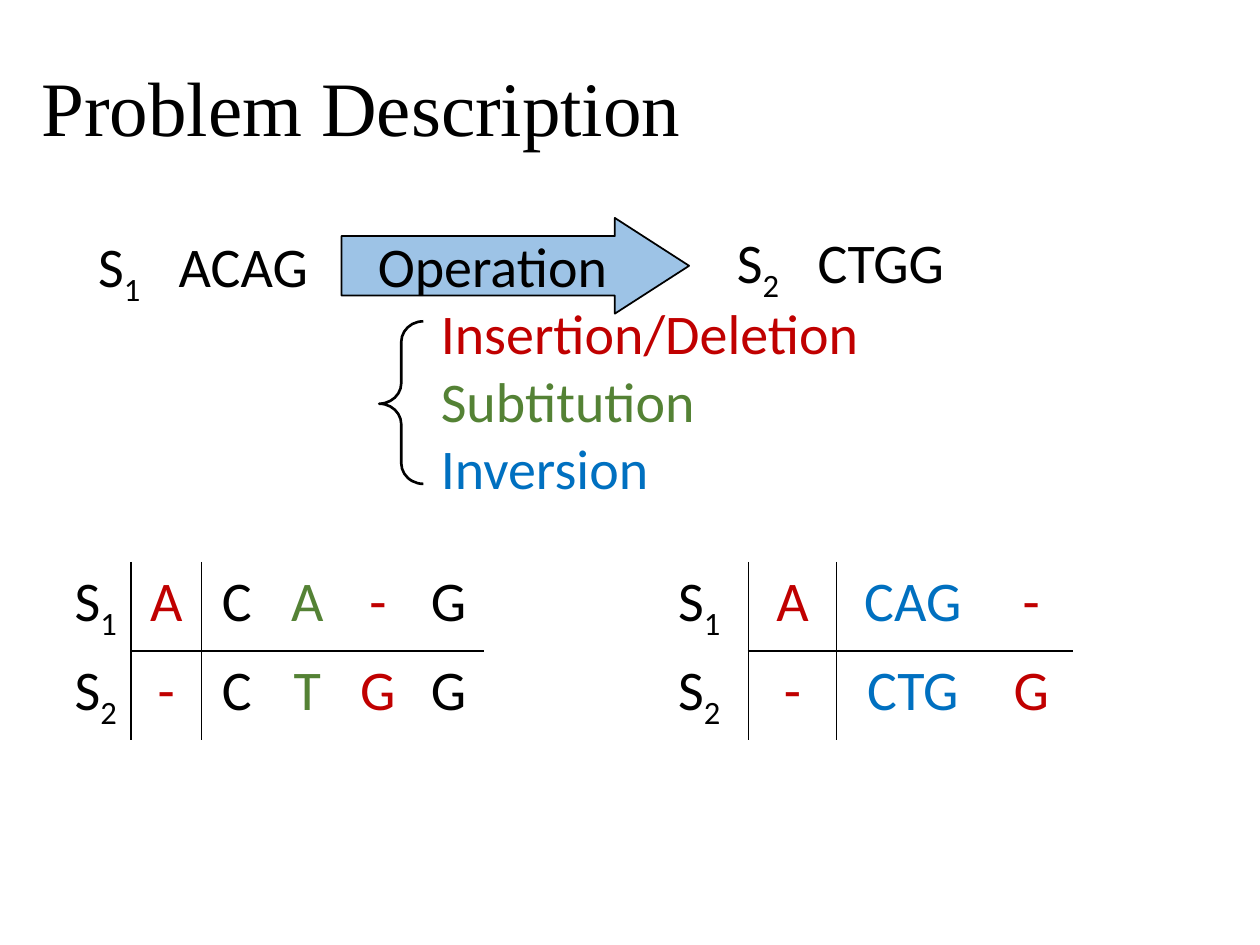
"""Build a slide describing sequence operations and two alignments."""
from dataclasses import dataclass

import lxml.etree
import pptx
import pptx.dml.color
import pptx.enum.shapes
import pptx.enum.text
import pptx.oxml.ns
import pptx.util

Inches = pptx.util.Inches
Pt = pptx.util.Pt
RGBColor = pptx.dml.color.RGBColor
Shape = pptx.enum.shapes.MSO_SHAPE
Align = pptx.enum.text.PP_ALIGN
Anchor = pptx.enum.text.MSO_ANCHOR
qn = pptx.oxml.ns.qn

BLACK = RGBColor(0x00, 0x00, 0x00)
RED = RGBColor(0xC0, 0x00, 0x00)
GREEN = RGBColor(0x54, 0x82, 0x35)
BLUE = RGBColor(0x00, 0x70, 0xC0)
SKY = RGBColor(0x9D, 0xC3, 0xE6)

BODY = {"name": "Calibri", "size": Pt(32)}
HEADING = {"name": "Times New Roman", "size": Pt(44)}
PLAIN_TABLE = "{2D5ABB26-0587-4C30-8999-92F81FD0307C}"
ROW_HEIGHT = 0.64


@dataclass(frozen=True)
class Span:
    text: str
    color: RGBColor = BLACK
    subscript: bool = False


@dataclass(frozen=True)
class Line:
    spans: list[Span]
    indent: float = 0
    tab: float = 0


@dataclass(frozen=True)
class TextBox:
    place: tuple[float, float, float, float]
    lines: list[Line]
    style: dict
    anchor: Anchor = Anchor.TOP
    spacing: float = 1.0


@dataclass(frozen=True)
class Symbol:
    place: tuple[float, float, float, float]
    preset: Shape
    adjustments: tuple[float, float]
    weight: float
    fill: RGBColor | None = None


@dataclass(frozen=True)
class Alignment:
    left: float
    top: float
    widths: list[float]
    rows: list[list[Span]]


def sequence_name(number: int) -> list[Span]:
    """Return the spans of a subscripted sequence name."""
    return [Span("S"), Span(str(number), subscript=True)]


def write_spans(para, spans: list[Span], style: dict) -> None:
    """Add formatted runs to a paragraph."""
    for span in spans:
        run = para.add_run()
        run.text = span.text
        for name, value in style.items():
            setattr(run.font, name, value)
        run.font.color.rgb = span.color
        if span.subscript:
            run._r.get_or_add_rPr().set("baseline", "-25000")


def draw_text(page, item: TextBox) -> None:
    """Draw a text box with its lines."""
    box = page.shapes.add_textbox(*map(Inches, item.place))
    frame = box.text_frame
    for name, value in {"word_wrap": True, "vertical_anchor": item.anchor}.items():
        setattr(frame, name, value)
    for index, line in enumerate(item.lines):
        para = frame.add_paragraph() if index else frame.paragraphs[0]
        para.line_spacing = item.spacing
        properties = para._p.get_or_add_pPr()
        if line.indent:
            para.level = 1
            properties.set("marL", str(Inches(line.indent)))
            properties.set("indent", "0")
        if line.tab:
            stops = lxml.etree.SubElement(properties, qn("a:tabLst"))
            lxml.etree.SubElement(stops, qn("a:tab"), pos=str(Inches(line.tab)), algn="l")
        write_spans(para, line.spans, item.style)


def draw_symbol(page, item: Symbol) -> None:
    """Draw an outlined preset shape."""
    shape = page.shapes.add_shape(item.preset, *map(Inches, item.place))
    shape.shadow.inherit = False
    for index, value in enumerate(item.adjustments):
        shape.adjustments[index] = value
    if item.fill is None:
        shape.fill.background()
    else:
        shape.fill.solid()
        shape.fill.fore_color.rgb = item.fill
    shape.line.color.rgb = BLACK
    shape.line.width = Pt(item.weight)


def draw_borders(cell, sides: list[str]) -> None:
    """Put black borders on the given sides, listed in schema order."""
    properties = cell._tc.get_or_add_tcPr()
    for index, side in enumerate(sides):
        border = lxml.etree.Element(qn(f"a:ln{side}"), w=str(Pt(1)))
        fill = lxml.etree.SubElement(border, qn("a:solidFill"))
        lxml.etree.SubElement(fill, qn("a:srgbClr"), val=str(BLACK))
        properties.insert(index, border)


def draw_alignment(page, item: Alignment) -> None:
    """Draw a two-row alignment table ruled beside its name column."""
    size = Inches(sum(item.widths)), Inches(ROW_HEIGHT * len(item.rows))
    frame = page.shapes.add_table(
        len(item.rows), len(item.widths), Inches(item.left), Inches(item.top), *size)
    table = frame.table
    table._tbl.tblPr.find(qn("a:tableStyleId")).text = PLAIN_TABLE
    for name in ("first_row", "horz_banding"):
        setattr(table, name, False)
    for column, width in zip(table.columns, item.widths):
        column.width = Inches(width)
    for row, symbols in enumerate(item.rows):
        table.rows[row].height = Inches(ROW_HEIGHT)
        contents = [sequence_name(row + 1)] + [[symbol] for symbol in symbols]
        for column, spans in enumerate(contents):
            cell = table.cell(row, column)
            cell.fill.background()
            para = cell.text_frame.paragraphs[0]
            para.alignment = Align.CENTER
            write_spans(para, spans, BODY)
            sides = {0: ["R"], 1: ["L"]}.get(column, [])
            if column:
                sides = sides + ["T" if row else "B"]
            draw_borders(cell, sides)


SYMBOLS = [
    Symbol((2.71, 1.73, 2.76, 0.76), Shape.RIGHT_ARROW, (0.62, 0.776), 1, SKY),
    Symbol((3.01, 2.55, 0.35, 1.29), Shape.LEFT_BRACE, (0.466, 0.507), 1.5),
]
OPERATIONS = [("Insertion/Deletion", RED), ("Subtitution", GREEN), ("Inversion", BLUE)]
TEXTS = [
    TextBox((0.23, 0.16, 8.62, 1.45), [Line([Span("Problem Description")])],
            HEADING, Anchor.MIDDLE, 0.9),
    TextBox((0.68, 1.79, 1.9, 0.64),
            [Line(sequence_name(1) + [Span("\tACAG")], tab=0.64)], BODY),
    TextBox((5.75, 1.76, 1.9, 0.64),
            [Line(sequence_name(2) + [Span("\tCTGG")], tab=0.64)], BODY),
    TextBox((2.9, 1.79, 4.06, 2.26),
            [Line([Span("Operation")])]
            + [Line([Span(text, color)], indent=0.5) for text, color in OPERATIONS], BODY),
]
ALIGNMENTS = [
    Alignment(0.48, 4.46, [0.56] * 6, [
        [Span("A", RED), Span("C"), Span("A", GREEN), Span("-", RED), Span("G")],
        [Span("-", RED), Span("C"), Span("T", GREEN), Span("G", RED), Span("G")],
    ]),
    Alignment(5.16, 4.46, [0.78, 0.7, 1.21, 0.67], [
        [Span("A", RED), Span("CAG", BLUE), Span("-", RED)],
        [Span("-", RED), Span("CTG", BLUE), Span("G", RED)],
    ]),
]


def main() -> None:
    """Create and save the deck."""
    deck = pptx.Presentation()
    deck.slide_width, deck.slide_height = Inches(10), Inches(7.5)
    page = deck.slides.add_slide(deck.slide_layouts[6])
    for draw, items in ((draw_symbol, SYMBOLS), (draw_text, TEXTS), (draw_alignment, ALIGNMENTS)):
        for item in items:
            draw(page, item)
    deck.save("out.pptx")


if __name__ == "__main__":
    main()
